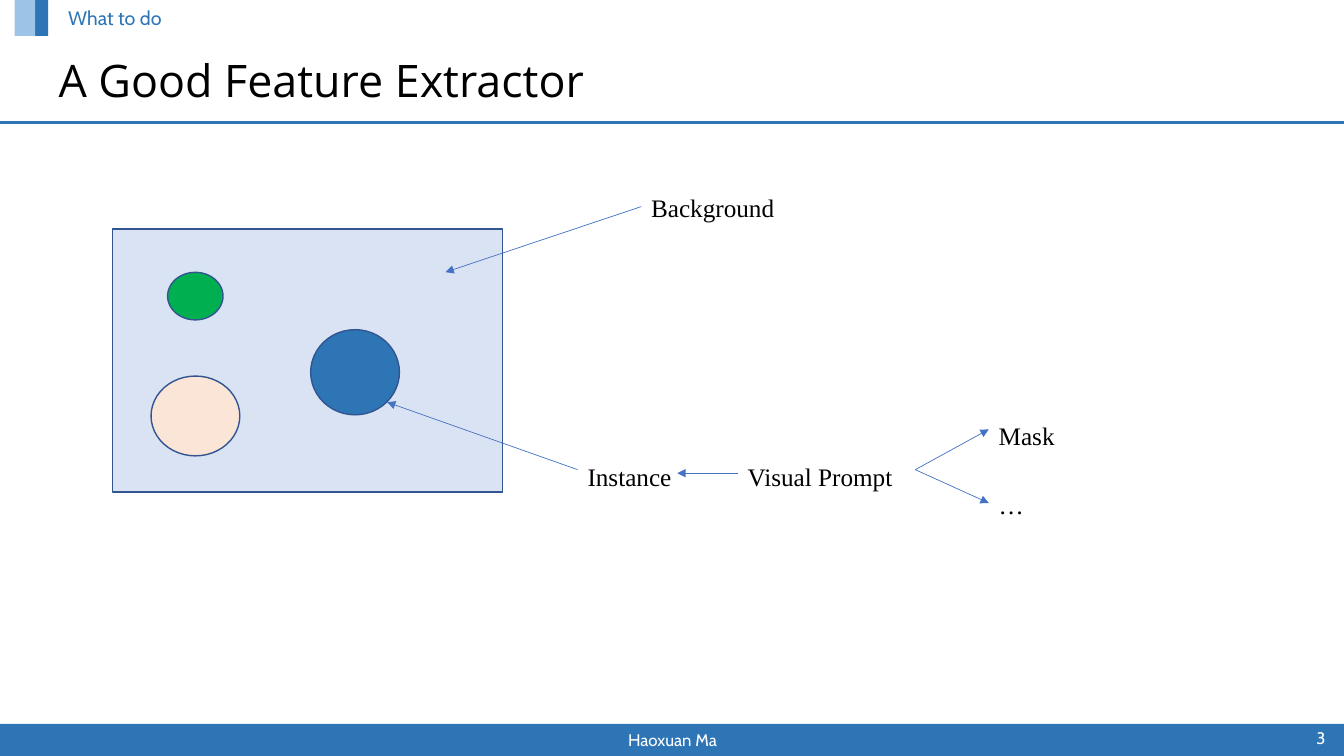
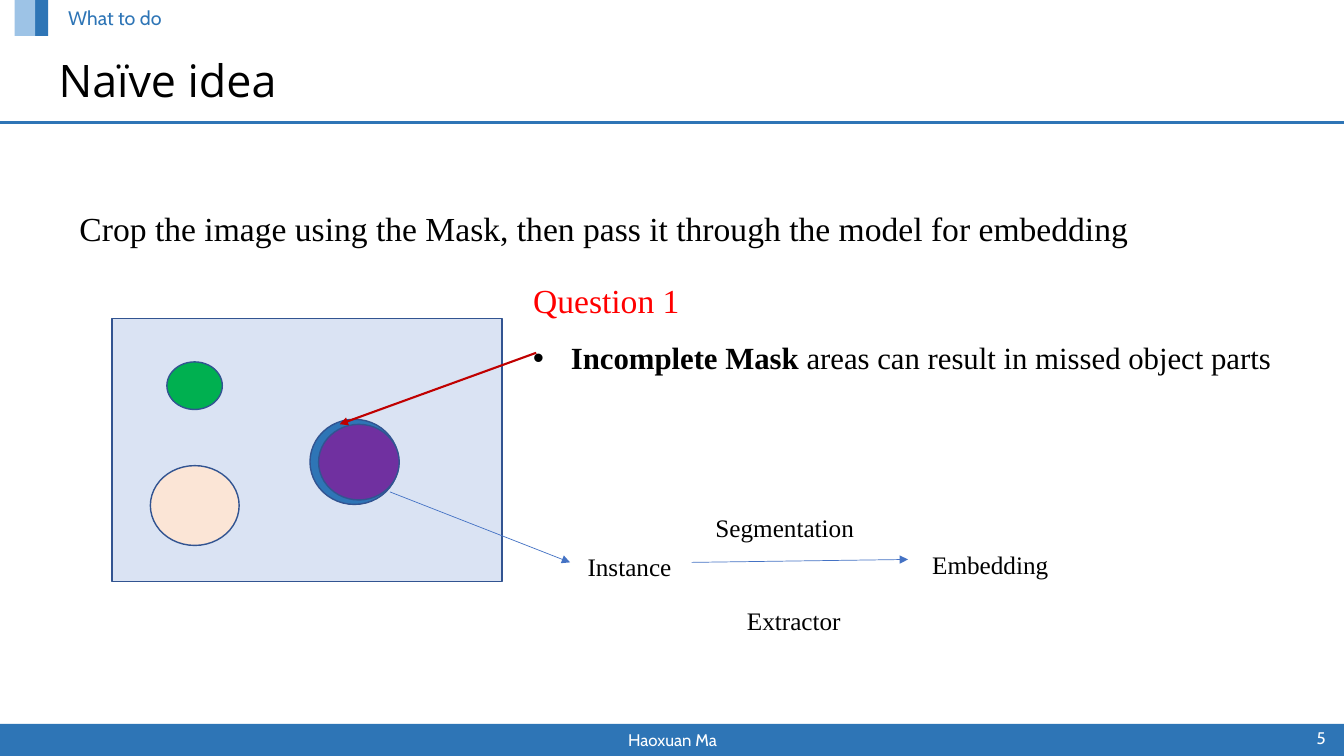
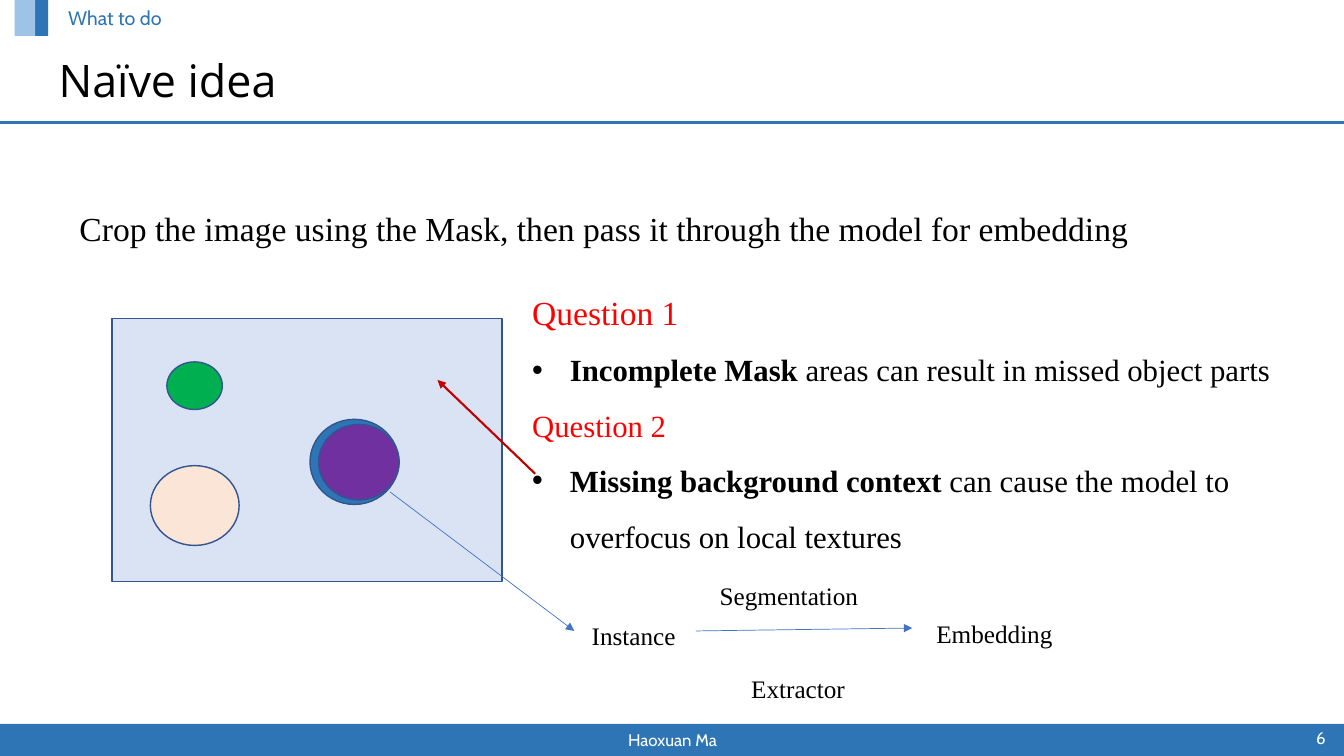
from dataclasses import dataclass

from lxml import etree
from pptx import Presentation
from pptx.dml.color import RGBColor
from pptx.enum.shapes import MSO_CONNECTOR, MSO_SHAPE
from pptx.enum.text import MSO_ANCHOR, MSO_AUTO_SIZE, PP_ALIGN
from pptx.oxml.ns import qn
from pptx.util import Pt

RECTANGLE = MSO_SHAPE.RECTANGLE
ELLIPSE = MSO_SHAPE.OVAL
STRAIGHT = MSO_CONNECTOR.STRAIGHT
LEFT, CENTER, RIGHT = PP_ALIGN.LEFT, PP_ALIGN.CENTER, PP_ALIGN.RIGHT
TOP, MIDDLE = MSO_ANCHOR.TOP, MSO_ANCHOR.MIDDLE
NO_AUTOFIT = MSO_AUTO_SIZE.NONE
TITLE_ONLY = 5


@dataclass(frozen=True)
class Theme:
    blue: str = "2E75B6"
    pale_blue: str = "9DC3E6"
    scene: str = "DAE3F3"
    outline: str = "325491"
    arrow: str = "4472C4"
    green: str = "00B050"
    peach: str = "FBE5D6"
    purple: str = "7030A0"
    red: str = "FF0000"
    dark_red: str = "C00000"
    black: str = "000000"
    white: str = "FFFFFF"
    title_font: str = "Open Sans"
    frame_font: str = "Cabin"
    body_font: str = "Times New Roman"
    title_size: int = 32
    lead_size: int = 24
    bullet_size: int = 22
    label_size: int = 18
    section_size: int = 14
    footer_size: int = 12


THEME = Theme()


def write(paragraph, text, *, size=THEME.label_size, color=THEME.black,
          font=THEME.body_font, bold_lead="", align=LEFT, spacing=1.5,
          before=0, indent=0, bullet=False):
    paragraph.alignment = align
    paragraph.line_spacing = spacing
    paragraph.space_before = Pt(before)
    properties = paragraph._p.get_or_add_pPr()
    if indent:
        properties.set("marL", str(Pt(indent)))
    if bullet:
        properties.set("indent", str(-Pt(indent)))
        etree.SubElement(properties, qn("a:buFont"), typeface="Arial")
        etree.SubElement(properties, qn("a:buChar"), char="•")
    for content, bold in ((bold_lead, True), (text, False)):
        if content:
            run = paragraph.add_run()
            run.text = content
            run.font.size = Pt(size)
            run.font.name = font
            run.font.bold = bold
            run.font.color.rgb = RGBColor.from_string(color)


class Deck:
    def __init__(self, theme):
        self.theme = theme
        self.presentation = Presentation()
        self.presentation.slide_width = Pt(960)
        self.presentation.slide_height = Pt(540)
        self.slide = None

    def start(self, title, number):
        theme = self.theme
        layout = self.presentation.slide_layouts[TITLE_ONLY]
        self.slide = self.presentation.slides.add_slide(layout)
        self.shape(RECTANGLE, 0, 517, 960, 24.5, theme.blue)
        self.shape(RECTANGLE, 25, 0, 9.4, 25.6, theme.blue)
        self.line((0, 87.6), (960, 87.6), theme.blue, 2.25, arrow=False)
        self.shape(RECTANGLE, 10.4, 0, 14.8, 25.6, theme.pale_blue)
        self.title(title)
        footer = dict(size=theme.footer_size, color=theme.white,
                      font=theme.frame_font, spacing=1)
        self.text(318.4, 517, 324, 22.5, ("Haoxuan Ma", dict(footer, align=CENTER)),
                  anchor=MIDDLE)
        self.text(905.6, 515, 48.4, 24.5, (str(number), dict(footer, align=RIGHT)),
                  anchor=MIDDLE)
        self.text(41.6, 2.9, 350, 22.5,
                  ("What to do", dict(size=theme.section_size, color=theme.blue,
                                      font=theme.frame_font, spacing=0.9)))

    def title(self, text):
        shape = self.slide.shapes.title
        shape.left, shape.top, shape.width, shape.height = (
            Pt(34.6), Pt(37.4), Pt(680), Pt(43.2))
        frame = shape.text_frame
        frame.auto_size = NO_AUTOFIT
        frame.vertical_anchor = MIDDLE
        write(frame.paragraphs[0], text, size=self.theme.title_size,
              font=self.theme.title_font, spacing=0.9)

    def shape(self, kind, left, top, width, height, fill, outline=None):
        shape = self.slide.shapes.add_shape(
            kind, Pt(left), Pt(top), Pt(width), Pt(height))
        shape.shadow.inherit = False
        shape.fill.solid()
        shape.fill.fore_color.rgb = RGBColor.from_string(fill)
        if outline:
            shape.line.color.rgb = RGBColor.from_string(outline)
            shape.line.width = Pt(1)
        else:
            shape.line.fill.background()

    def line(self, start, end, color, width=0.5, arrow=True):
        connector = self.slide.shapes.add_connector(
            STRAIGHT, *(Pt(value) for value in (*start, *end)))
        connector.line.color.rgb = RGBColor.from_string(color)
        connector.line.width = Pt(width)
        if arrow:
            etree.SubElement(connector.line._get_or_add_ln(), qn("a:tailEnd"),
                             type="triangle")
        etree.SubElement(connector._element.spPr, qn("a:effectLst"))

    def text(self, left, top, width, height, *paragraphs, anchor=TOP):
        box = self.slide.shapes.add_textbox(Pt(left), Pt(top), Pt(width), Pt(height))
        frame = box.text_frame
        frame.word_wrap = True
        frame.vertical_anchor = anchor
        for index, (content, style) in enumerate(paragraphs):
            paragraph = frame.add_paragraph() if index else frame.paragraphs[0]
            write(paragraph, content, **style)

    def label(self, left, top, width, content):
        self.text(left, top, width, 40, (content, {}))

    def scene(self, left, top, masked=False):
        theme = self.theme
        objects = [
            (RECTANGLE, 0, 0, 278.6, 187.9, theme.scene),
            (ELLIPSE, 141.4, 72, 63.4, 60.8, theme.blue),
            (ELLIPSE, 39.2, 31, 39.6, 34, theme.green),
            (ELLIPSE, 27.4, 105.1, 63.4, 57, theme.peach),
        ]
        if masked:
            objects.append((ELLIPSE, 147.6, 75.6, 57.6, 54, theme.purple))
        for kind, x, y, width, height, fill in objects:
            self.shape(kind, left + x, top + y, width, height, fill, theme.outline)

    def pipeline(self, left, top):
        arrow = self.theme.arrow
        self.line((278.6, 351.4), (left - 5.4, top + 22.3), arrow)
        self.line((left + 81.4, top + 22.3), (left + 236, top + 20.2), arrow)
        self.label(left, top, 81.4, "Instance")
        self.text(left + 91.4, top - 28, 119.5, 105,
                  ("Segmentation", {}),
                  ("Extractor", dict(before=34, indent=22.5)))
        self.label(left + 246.2, top - 1.4, 148.3, "Embedding")

    def naive_idea(self, number, questions_at, questions, pipeline_at, pointer):
        theme = self.theme
        self.start("Naïve idea", number)
        self.scene(80, 227.5, masked=True)
        self.pipeline(*pipeline_at)
        self.text(49.7, 130.3, 877.7, 45.4,
                  ("Crop the image using the Mask, then pass it through the model for embedding",
                   dict(size=theme.lead_size)))
        paragraphs = []
        for index, (bold_lead, content) in enumerate(questions):
            size = theme.bullet_size if index else theme.lead_size
            paragraphs.append((f"Question {index + 1}", dict(size=size, color=theme.red)))
            paragraphs.append((content, dict(size=theme.bullet_size, bold_lead=bold_lead,
                                             indent=27, bullet=True)))
        self.text(*questions_at, 549.4, 91 * len(questions), *paragraphs)
        self.line(*pointer, theme.dark_red, 1.5)


def feature_extractor(deck):
    deck.start("A Good Feature Extractor", 3)
    deck.scene(80.5, 163.5)
    for start, end in (
        ((458, 147.6), (318.2, 194.4)),
        ((412.6, 335.5), (276.5, 287.3)),
        ((527, 338), (483.8, 338)),
        ((653.8, 335.5), (706.3, 306.7)),
        ((653.8, 335.5), (706.3, 359.3)),
    ):
        deck.line(start, end, deck.theme.arrow)
    for left, top, width, content in (
        (458, 123, 137.5, "Background"),
        (527, 315.4, 126.7, "Visual Prompt"),
        (412.6, 315.4, 81.4, "Instance"),
        (706.3, 285.8, 67.7, "Mask"),
        (706.3, 335.5, 67.7, "…"),
    ):
        deck.label(left, top, width, content)


def main():
    deck = Deck(THEME)
    questions = [
        ("Incomplete Mask ", "areas can result in missed object parts"),
        ("Missing background context ",
         "can cause the model to overfocus on local textures"),
    ]
    feature_extractor(deck)
    deck.naive_idea(5, (373.7, 182.2), questions[:1], (412.6, 379.4),
                    ((383, 252), (242.6, 303)))
    deck.naive_idea(6, (373, 190.8), questions, (415.6, 428.4),
                    ((382.3, 338.4), (312.5, 271.4)))
    deck.presentation.save("out.pptx")


if __name__ == "__main__":
    main()
